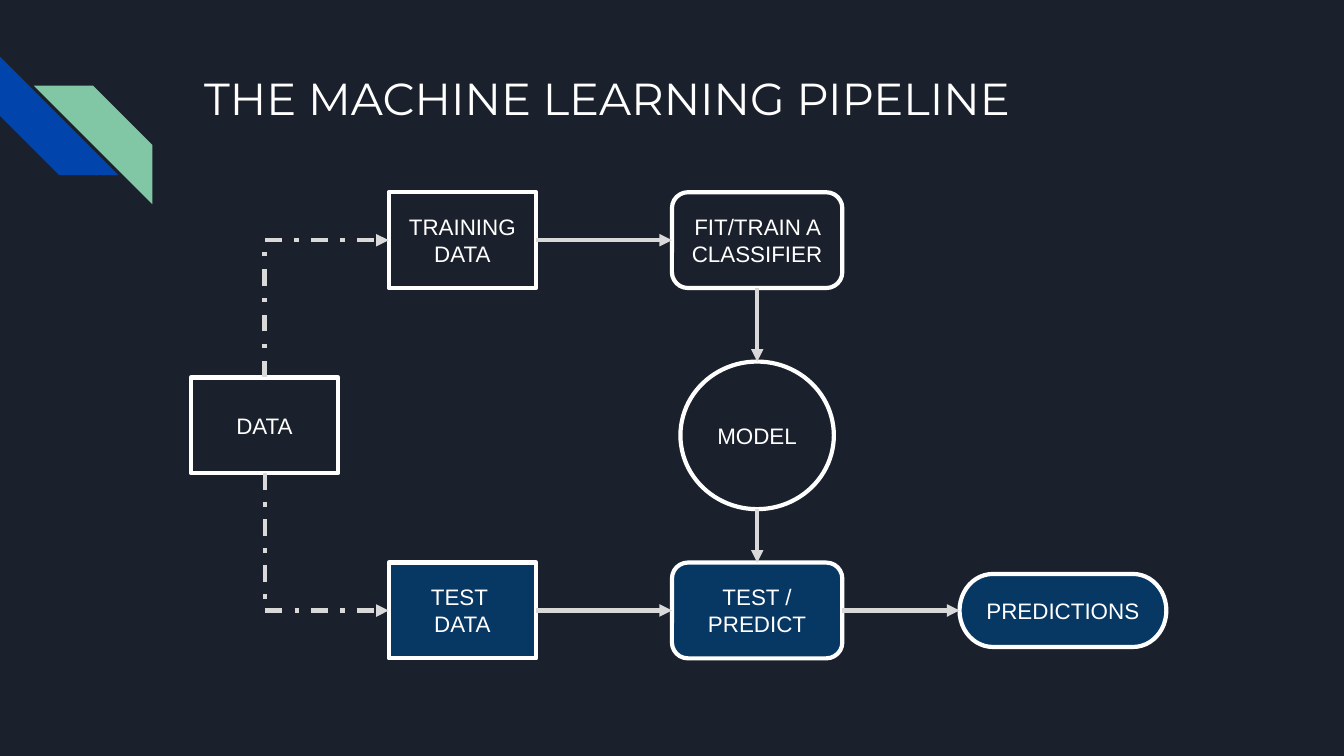
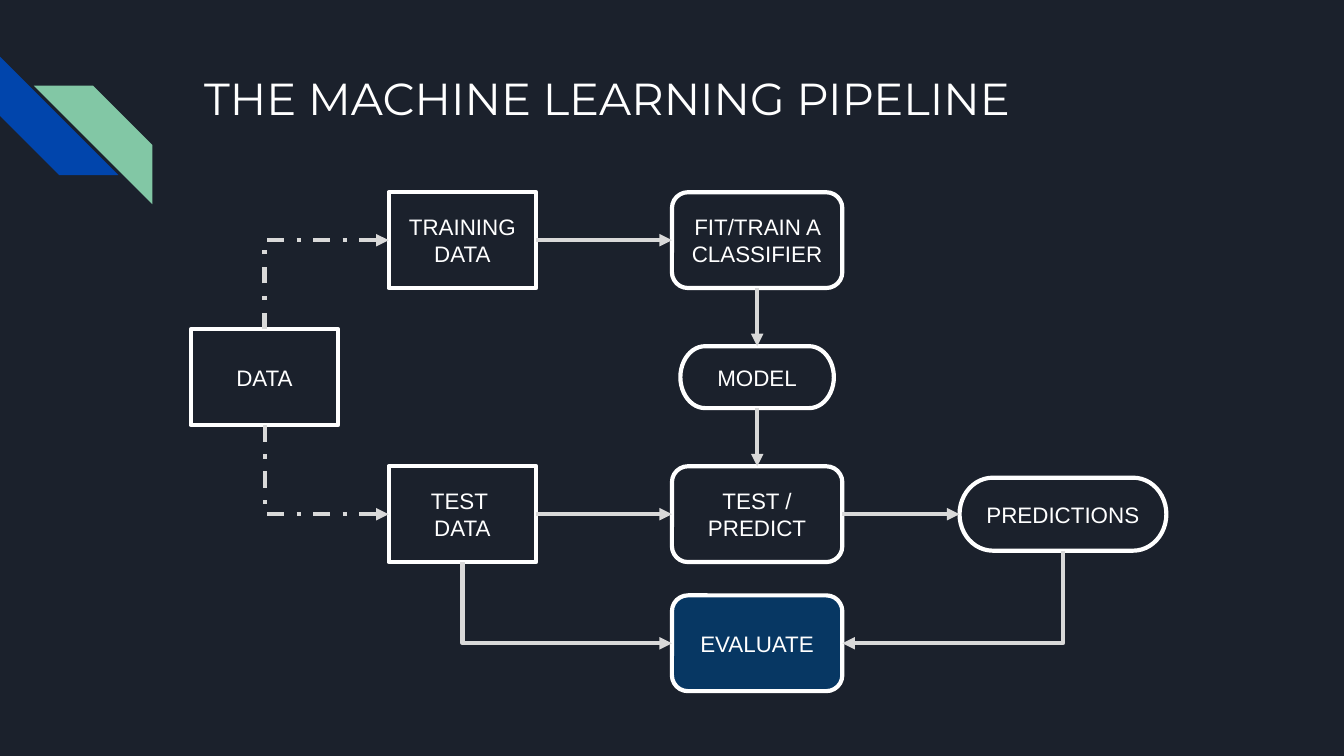
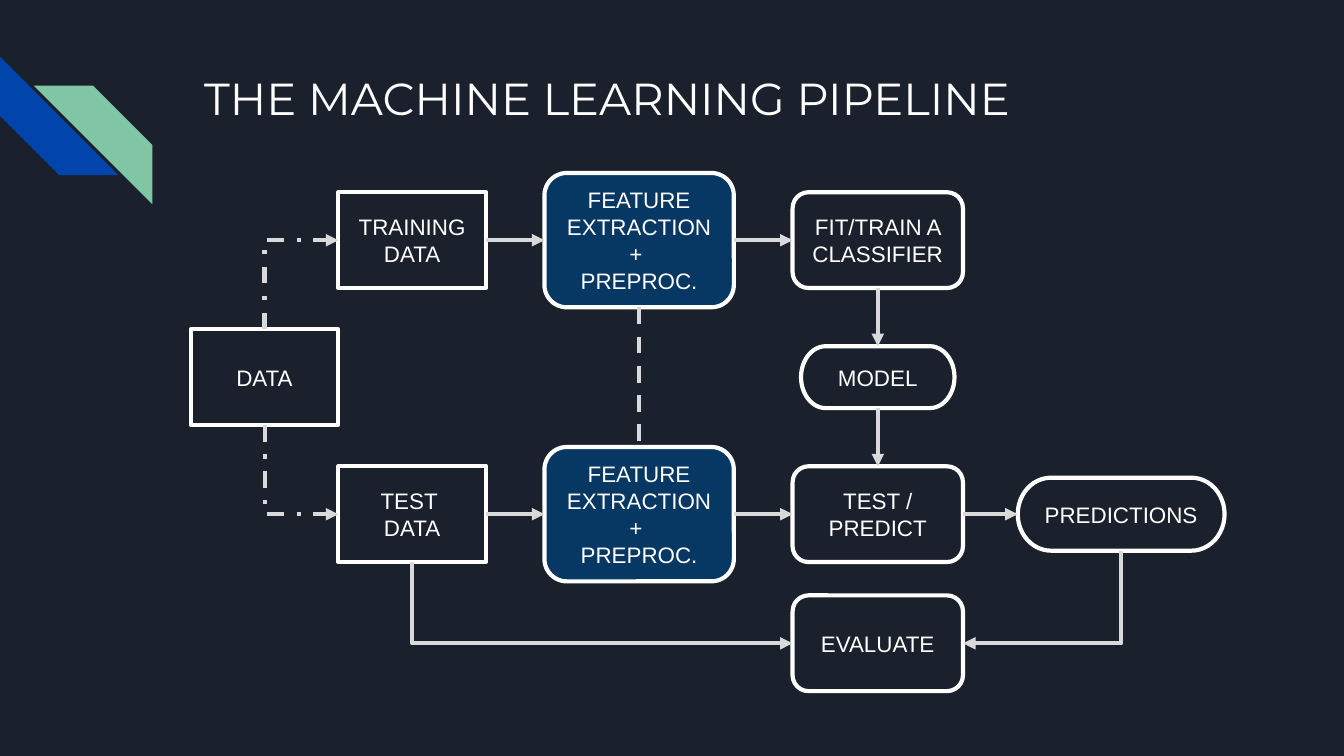
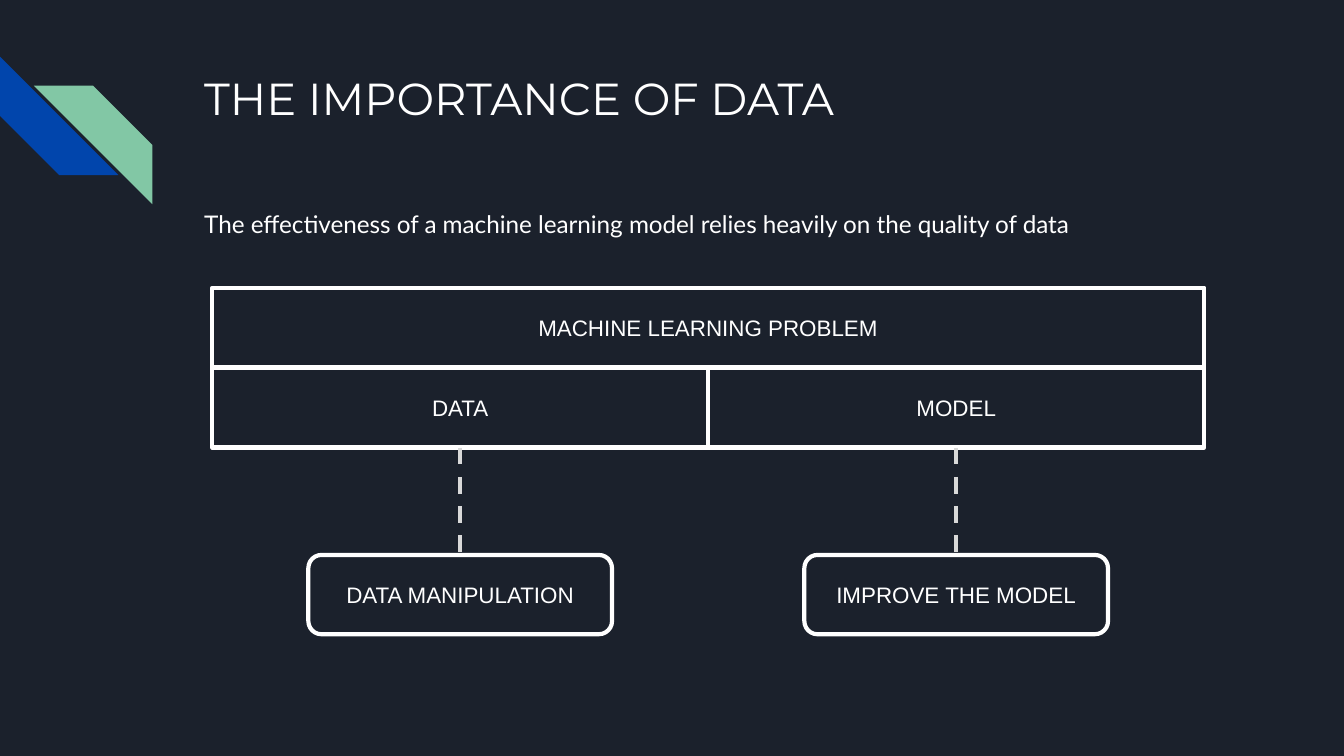
from dataclasses import dataclass

from lxml import etree
from pptx import Presentation
from pptx.dml.color import RGBColor
from pptx.enum.dml import MSO_LINE
from pptx.enum.shapes import MSO_CONNECTOR, MSO_SHAPE
from pptx.enum.text import MSO_ANCHOR, MSO_AUTO_SIZE, PP_ALIGN
from pptx.oxml.ns import qn
from pptx.util import Cm, Pt

# Shared look
NIGHT = RGBColor(0x1B, 0x21, 0x2C)
BLUE = RGBColor(0x01, 0x45, 0xAC)
GREEN = RGBColor(0x82, 0xC7, 0xA5)
NAVY = RGBColor(0x07, 0x37, 0x63)
WHITE = RGBColor(0xFF, 0xFF, 0xFF)
GREY = RGBColor(0xD9, 0xD9, 0xD9)
TITLE_FONT, BODY_FONT, NODE_FONT = "Montserrat", "Lato", "Arial"
LINE_WIDTH = Pt(2.25)
INSET = Cm(0.25)

RECT = MSO_SHAPE.RECTANGLE
ROUND = MSO_SHAPE.ROUNDED_RECTANGLE
OVAL = MSO_SHAPE.OVAL
PILL = MSO_SHAPE.FLOWCHART_TERMINATOR
STRIPE = MSO_SHAPE.DIAGONAL_STRIPE
STRAIGHT, ELBOW = MSO_CONNECTOR.STRAIGHT, MSO_CONNECTOR.ELBOW
DASH, DASH_DOT = MSO_LINE.DASH, MSO_LINE.DASH_DOT
LEFT, CENTER = PP_ALIGN.LEFT, PP_ALIGN.CENTER
TOP, MIDDLE = MSO_ANCHOR.TOP, MSO_ANCHOR.MIDDLE

TITLE_ONLY, TITLE_AND_BODY = 5, 1
PIPELINE_TITLE = "THE MACHINE LEARNING PIPELINE"

# Node sizes in centimetres
DATA_SIZE = (2.79, 1.81)
STEP_SIZE = (3.22, 1.81)
FEATURE_SIZE = (3.58, 2.54)
RESULT_SIZE = (3.91, 1.38)
ACTION_SIZE = (5.74, 1.5)


@dataclass
class Box:
    """A region in centimetres."""
    left: float
    top: float
    width: float
    height: float

    @property
    def center(self):
        return self.left + self.width / 2, self.top + self.height / 2

    @property
    def top_mid(self):
        return self.center[0], self.top

    @property
    def bottom_mid(self):
        return self.center[0], self.top + self.height

    @property
    def left_mid(self):
        return self.left, self.center[1]

    @property
    def right_mid(self):
        return self.left + self.width, self.center[1]

    def lengths(self):
        return [Cm(side) for side in (self.left, self.top, self.width, self.height)]

    def around(self, x, y, size):
        """A box of the given size, centred at x, y inside this one."""
        width, height = size
        return Box(self.left + x - width / 2, self.top + y - height / 2, width, height)


TITLE_BOX = Box(3.61, 1.09, 19.56, 2.54)
BODY_BOX = Box(3.61, 3.63, 19.56, 8.81)
PROBLEM_BOX = Box(4.01, 5.44, 18.75, 3.02)


# Text and shapes
def write(frame, lines, font, size, align, anchor):
    frame.word_wrap = True
    frame.auto_size = MSO_AUTO_SIZE.NONE
    frame.vertical_anchor = anchor
    frame.margin_left = frame.margin_right = INSET
    frame.margin_top = frame.margin_bottom = INSET
    for index, line in enumerate(lines):
        para = frame.add_paragraph() if index else frame.paragraphs[0]
        para.alignment = align
        para.space_before = Pt(0)
        span = para.add_run()
        span.text = line
        span.font.name = font
        span.font.size = Pt(size)
        span.font.color.rgb = WHITE


def fill_placeholder(holder, box, text, font, size):
    holder.left, holder.top, holder.width, holder.height = box.lengths()
    write(holder.text_frame, [text], font, size, LEFT, TOP)


def add_node(page, kind, box, *lines, fill=None):
    node = page.shapes.add_shape(kind, *box.lengths())
    node.shadow.inherit = False
    if fill is None:
        node.fill.background()
    else:
        node.fill.solid()
        node.fill.fore_color.rgb = fill
    node.line.color.rgb = WHITE
    node.line.width = LINE_WIDTH
    write(node.text_frame, lines, NODE_FONT, 12, CENTER, MIDDLE)
    return box


# Connectors
def style_link(link, dash, arrow):
    link.line.color.rgb = GREY
    link.line.width = LINE_WIDTH
    if dash is not None:
        link.line.dash_style = dash
    properties = link.element.spPr
    if arrow:
        etree.SubElement(properties.find(qn("a:ln")), qn("a:tailEnd"), type="triangle")
    etree.SubElement(properties, qn("a:effectLst"))


def add_link(page, start, end, dash=None, arrow=True):
    points = [Cm(value) for value in (*start, *end)]
    style_link(page.shapes.add_connector(STRAIGHT, *points), dash, arrow)


def add_elbow(page, start, end, dash=None):
    """Goes up or down from start, then sideways to end."""
    across, down = end[0] - start[0], end[1] - start[1]
    middle_x, middle_y = start[0] + across / 2, start[1] + down / 2
    half_width, half_height = abs(down) / 2, abs(across) / 2
    if across > 0 and down > 0:
        half_width = -half_width  # drawn from right to left, so mirrored
    link = page.shapes.add_connector(
        ELBOW, Cm(middle_x - half_width), Cm(middle_y - half_height),
        Cm(middle_x + half_width), Cm(middle_y + half_height))
    link.rotation = 270 if across > 0 else 90
    link.element.spPr.find(qn("a:prstGeom")).set("prst", "bentConnector2")
    style_link(link, dash, True)


# Master and pages
def decorate_master(deck, page):
    master = deck.slide_master
    master.background.fill.solid()
    master.background.fill.fore_color.rgb = NIGHT
    for left, top, color in ((0, 1.07, BLUE), (0.64, 1.62, GREEN)):
        stripe = page.shapes.add_shape(STRIPE, *Box(left, top, 2.24, 2.24).lengths())
        stripe.shadow.inherit = False
        stripe.fill.solid()
        stripe.fill.fore_color.rgb = color
        stripe.line.fill.background()
        if color == BLUE:
            stripe.rotation = 270
        else:
            stripe.element.spPr.find(qn("a:xfrm")).set("flipH", "1")
        master.shapes.element.append(stripe.element)


def add_page(deck, layout, title):
    page = deck.slides.add_slide(deck.slide_layouts[layout])
    fill_placeholder(page.shapes.title, TITLE_BOX, title, TITLE_FONT, 24)
    return page


def draw_pipeline(page, box, columns, test_y, model, highlight, features=False,
                  evaluate=False):
    """Columns are the centres of the data sets, steps and predictions."""
    set_x, step_x, result_x = columns
    train_y = 0.91
    model_kind, model_y, model_size = model

    def place(kind, x, y, size, name, *lines):
        fill = NAVY if name in highlight else None
        return add_node(page, kind, box.around(x, y, size), *lines, fill=fill)

    # Nodes
    data = place(RECT, 1.39, (train_y + test_y) / 2, DATA_SIZE, "data", "DATA")
    training = place(RECT, set_x, train_y, DATA_SIZE, "training", "TRAINING DATA")
    test = place(RECT, set_x, test_y, DATA_SIZE, "test", "TEST ", "DATA")
    fit = place(ROUND, step_x, train_y, STEP_SIZE, "fit", "FIT/TRAIN A CLASSIFIER")
    predict = place(ROUND, step_x, test_y, STEP_SIZE, "predict", "TEST / PREDICT")
    trained = place(model_kind, step_x, model_y, model_size, "model", "MODEL")
    result = place(PILL, result_x, test_y, RESULT_SIZE, "result", "PREDICTIONS")

    # Split of the data and the way to the predictions
    add_elbow(page, data.top_mid, training.left_mid, DASH_DOT)
    add_elbow(page, data.bottom_mid, test.left_mid, DASH_DOT)
    add_link(page, fit.bottom_mid, trained.top_mid)
    add_link(page, trained.bottom_mid, predict.top_mid)
    add_link(page, predict.right_mid, result.left_mid)

    # Rows, with or without a feature step between
    feature_steps = []
    for source, step, y in ((training, fit, train_y), (test, predict, test_y)):
        start = source
        if features:
            start = place(ROUND, 8.47, y, FEATURE_SIZE, "features",
                          "FEATURE EXTRACTION ", "+ ", "PREPROC.")
            add_link(page, source.right_mid, start.left_mid)
            feature_steps.append(start)
        add_link(page, start.right_mid, step.left_mid)
    if features:
        upper, lower = feature_steps
        add_link(page, upper.bottom_mid, lower.top_mid, DASH, arrow=False)

    if evaluate:
        score = place(ROUND, step_x, 8.53, STEP_SIZE, "evaluate", "EVALUATE")
        add_elbow(page, result.bottom_mid, score.right_mid)
        add_elbow(page, test.bottom_mid, score.left_mid)


def draw_problem(page, box):
    row = box.height / 2
    half = box.width / 2
    add_node(page, RECT, Box(box.left, box.top, box.width, row),
             "MACHINE LEARNING PROBLEM")
    parts = (("DATA", "DATA MANIPULATION"), ("MODEL", "IMPROVE THE MODEL"))
    for index, (part, action) in enumerate(parts):
        cell = add_node(page, RECT,
                        Box(box.left + index * half, box.top + row, half, row), part)
        remedy = add_node(page, ROUND,
                          box.around((index + 0.5) * half, 5.8, ACTION_SIZE), action)
        add_link(page, cell.bottom_mid, remedy.top_mid, DASH, arrow=False)


def add_body(page, text):
    body = page.placeholders[1]
    fill_placeholder(body, BODY_BOX, text, BODY_FONT, 13)
    para = body.text_frame.paragraphs[0]
    para.line_spacing = 1.15
    properties = para._p.get_or_add_pPr()
    properties.set("marL", "0")
    properties.set("indent", "0")
    etree.SubElement(properties, qn("a:buNone"))


def main():
    deck = Presentation()
    deck.slide_width, deck.slide_height = Cm(25.4), Cm(14.29)

    # Training and testing
    page = add_page(deck, TITLE_ONLY, PIPELINE_TITLE)
    decorate_master(deck, page)
    draw_pipeline(page, BODY_BOX, (5.13, 10.7, 16.48), 7.91,
                  (OVAL, 4.6, (2.9, 2.79)), ("test", "predict", "result"))

    # Evaluation, then feature extraction
    small_model = (PILL, 3.5, (2.9, 1.17))
    page = add_page(deck, TITLE_ONLY, PIPELINE_TITLE)
    draw_pipeline(page, BODY_BOX, (5.13, 10.7, 16.48), 6.09, small_model,
                  ("evaluate",), evaluate=True)
    page = add_page(deck, TITLE_ONLY, PIPELINE_TITLE)
    draw_pipeline(page, BODY_BOX, (4.18, 12.98, 17.58), 6.09, small_model,
                  ("features",), features=True, evaluate=True)

    # Importance of data
    page = add_page(deck, TITLE_AND_BODY, "THE IMPORTANCE OF DATA")
    add_body(page, "The effectiveness of a machine learning model relies heavily "
                   "on the quality of data")
    draw_problem(page, PROBLEM_BOX)

    deck.save("out.pptx")


if __name__ == "__main__":
    main()
